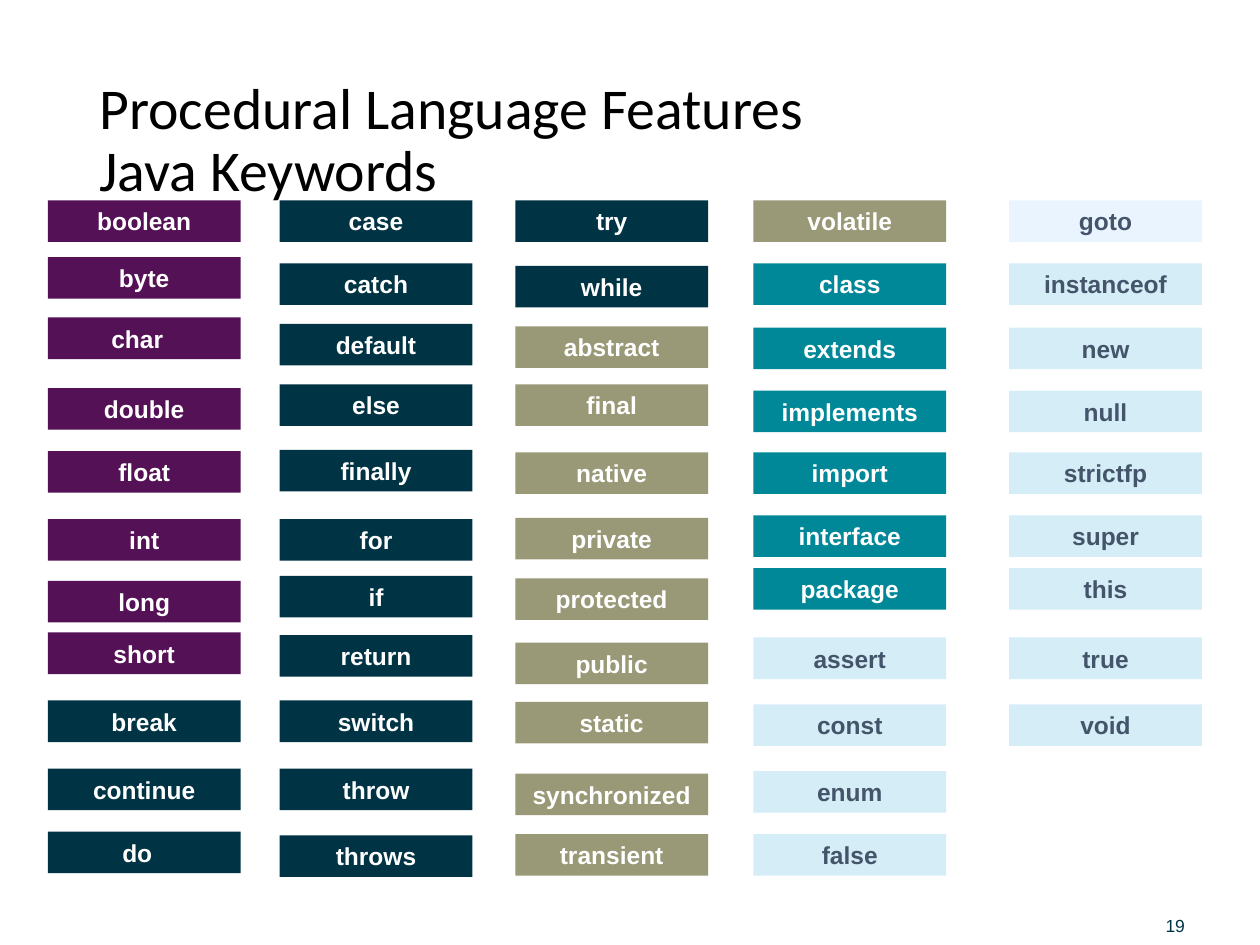
"""Build a slide that lists the Java keywords in columns, coloured by group."""
from lxml.etree import SubElement
from pptx import Presentation
from pptx.dml.color import RGBColor
from pptx.enum.shapes import MSO_SHAPE
from pptx.enum.text import MSO_ANCHOR, MSO_AUTO_SIZE, PP_ALIGN
from pptx.oxml.ns import qn
from pptx.util import Inches, Pt

TYPE = ("551155", "FFFFFF", 100)
FLOW = ("003344", "FFFFFF", 100)
MODIFIER = ("999977", "FFFFFF", 100)
STRUCTURE = ("008899", "FFFFFF", 100)
OTHER = ("AADDEE", "44546A", 50)
UNUSED = ("D5EAFF", "44546A", 50)

RIGHT_TOPS = (1.59, 2.09, 2.6, 3.1, 3.59, 4.09, 4.51, 5.06, 5.59, 6.12, 6.62)
COLUMNS = [
    (0.38, (1.59, 2.04, 2.52, 3.08, 3.58, 4.12, 4.61, 5.02, 5.56, 6.1, 6.6),
     [(TYPE, "boolean byte char double float int long short"),
      (FLOW, "break continue do")]),
    (2.22, (1.59, 2.09, 2.57, 3.05, 3.57, 4.12, 4.57, 5.04, 5.56, 6.1, 6.63),
     [(FLOW, "case catch default else finally for if return switch throw throws")]),
    (4.09, (1.59, 2.11, 2.59, 3.05, 3.59, 4.11, 4.59, 5.1, 5.57, 6.14, 6.62),
     [(FLOW, "try while"),
      (MODIFIER, "abstract final native private protected public static"
                 " synchronized transient")]),
    (5.98, RIGHT_TOPS,
     [(MODIFIER, "volatile"),
      (STRUCTURE, "class extends implements import interface package"),
      (OTHER, "assert const enum false")]),
    (8.01, RIGHT_TOPS,
     [(UNUSED, "goto"),
      (OTHER, "instanceof new null strictfp super this true void")]),
]
RIGHT_INSETS = {"char": 0.11, "do": 0.11}


def rgb(color):
    return RGBColor.from_string(color)


def write(tf, text, size, color, font="Arial", bold=False, align=PP_ALIGN.LEFT,
          anchor=MSO_ANCHOR.MIDDLE, insets=(0, 0, 0, 0), spacing=None):
    tf.word_wrap = True
    tf.auto_size = MSO_AUTO_SIZE.NONE
    tf.vertical_anchor = anchor
    tf.margin_left, tf.margin_top, tf.margin_right, tf.margin_bottom = map(Inches, insets)
    p = tf.paragraphs[0]
    p.alignment = align
    p.line_spacing = spacing
    for i, line in enumerate(text.split("\n")):
        if i:
            p.add_line_break()
        r = p.add_run()
        r.text = line
        r.font.size = Pt(size)
        r.font.name = font
        r.font.bold = bold
        r.font.color.rgb = rgb(color)


class Deck:
    def __init__(self):
        self.prs = Presentation()
        self.prs.slide_width, self.prs.slide_height = Inches(10), Inches(7.5)
        self.s = self.prs.slides.add_slide(self.prs.slide_layouts[5])

    def title(self, text, left, top, width, height):
        sp = self.s.shapes.title
        sp.left, sp.top, sp.width, sp.height = map(Inches, (left, top, width, height))
        write(sp.text_frame, text, 33, "000000", font="Calibri",
              insets=(0.1, 0.05, 0.1, 0.05), spacing=0.9)
        self.s.shapes.element.append(sp.element)

    def keyword(self, word, group, left, top):
        fill, color, opacity = group
        sp = self.s.shapes.add_shape(MSO_SHAPE.RECTANGLE, Inches(left), Inches(top),
                                     Inches(1.53), Inches(0.33))
        sp.shadow.inherit = False
        sp.line.fill.background()
        sp.fill.solid()
        sp.fill.fore_color.rgb = rgb(fill)
        if opacity < 100:
            clr = sp.element.spPr.find(qn("a:solidFill"))[0]
            SubElement(clr, qn("a:alpha"), val=str(opacity * 1000))
        write(sp.text_frame, word, 14, color, bold=True, align=PP_ALIGN.CENTER,
              insets=(0, 0.02, RIGHT_INSETS.get(word, 0), 0.02))

    def column(self, left, tops, groups):
        words = [(word, group) for group, names in groups for word in names.split()]
        for (word, group), top in zip(words, tops):
            self.keyword(word, group, left, top)

    def page_number(self, number, left, top, width, height):
        sp = self.s.shapes.add_textbox(*map(Inches, (left, top, width, height)))
        write(sp.text_frame, number, 10, "003344", anchor=MSO_ANCHOR.BOTTOM)


def main():
    deck = Deck()
    for column in COLUMNS:
        deck.column(*column)
    deck.title("Procedural Language Features\nJava Keywords", 0.69, 0.4, 8.62, 1.45)
    deck.page_number("19", 9.25, 7.15, 0.69, 0.28)
    deck.prs.save("out.pptx")


if __name__ == "__main__":
    main()
